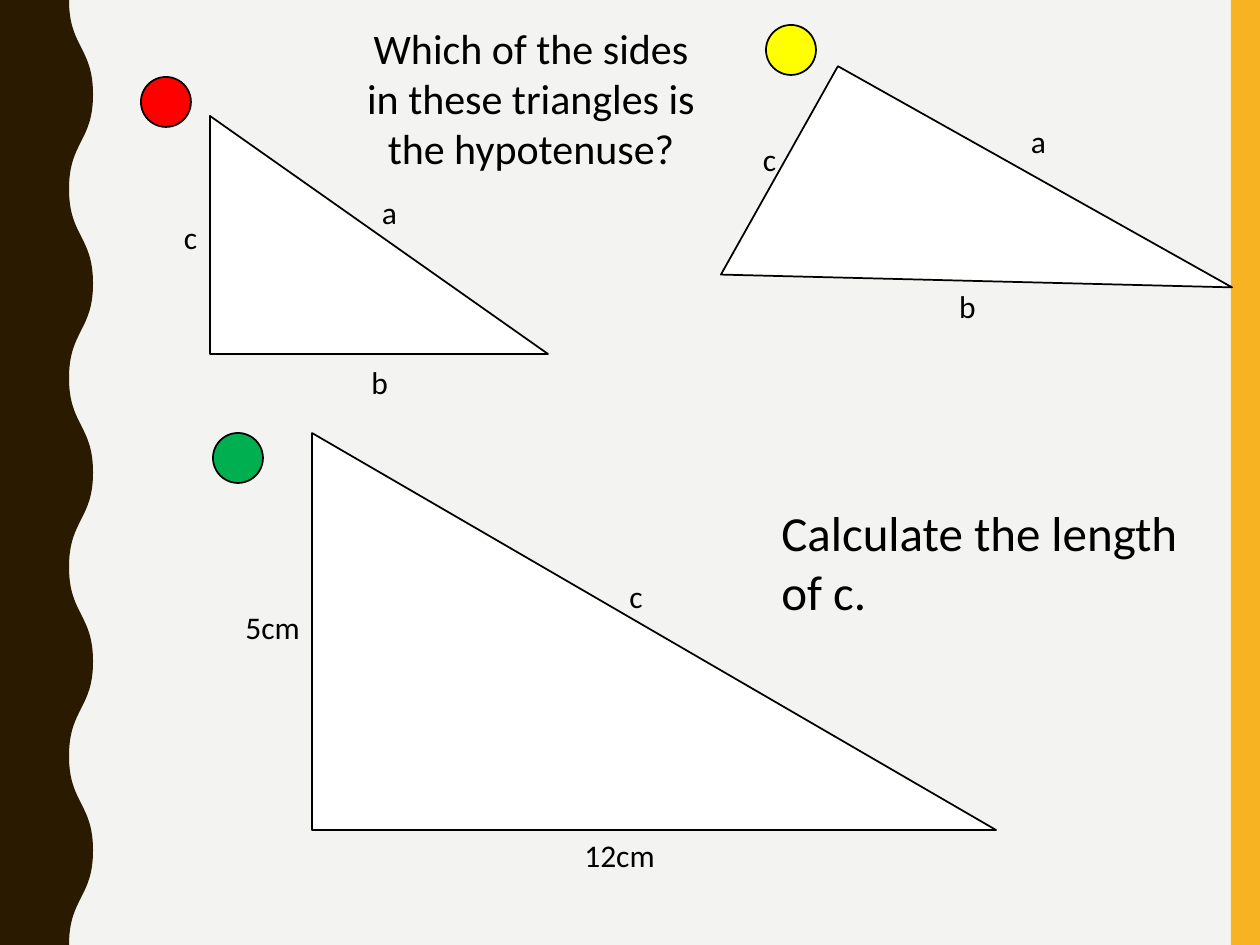
from pptx import Presentation
from pptx.dml.color import RGBColor
from pptx.enum.shapes import MSO_SHAPE as Shape
from pptx.enum.text import MSO_AUTO_SIZE as Fit, PP_ALIGN as Align
from pptx.oxml.ns import qn
from pptx.util import Pt
from lxml.etree import SubElement

SCALE = 914400 / 126
WIDTH, HEIGHT = 1260, 945
FONT = "Calibri"
BLACK = RGBColor(0, 0, 0)
WHITE = RGBColor(255, 255, 255)
PAPER = RGBColor(0xF3, 0xF3, 0xF2)
BROWN = RGBColor(0x2A, 0x1A, 0x00)
GOLD = RGBColor(0xF8, 0xB3, 0x23)
RED = RGBColor(255, 0, 0)
YELLOW = RGBColor(255, 255, 0)
GREEN = RGBColor(0x00, 0xB0, 0x50)


def px(size):
    return round(size * SCALE)


def paint(shape, fill, line=None):
    shape.shadow.inherit = False
    shape.fill.solid()
    shape.fill.fore_color.rgb = fill
    if line is None:
        shape.line.fill.background()
    else:
        shape.line.color.rgb = line
        shape.line.width = Pt(1)


def add_shape(slide, kind, box, fill, line=None, turn=0):
    shape = slide.shapes.add_shape(kind, *map(px, box))
    shape.rotation = turn
    paint(shape, fill, line)


def bend_line(line, start, end):
    """Turn a straight segment into an S-curve that is upright at both ends."""
    mid = (start[1] + end[1]) // 2
    line.tag = qn("a:cubicBezTo")
    for point in list(line):
        line.remove(point)
    for x, y in ((start[0], mid), (end[0], mid), end):
        SubElement(line, qn("a:pt"), x=str(x), y=str(y))


def add_wave(slide, low=69, high=93, bends=10):
    """Draw the left band, whose right edge swings between low and high."""
    edge = [(px(high if i % 2 else low), px(HEIGHT * i / bends))
            for i in range(bends + 1)]
    outline = slide.shapes.build_freeform(*edge[0])
    outline.add_line_segments([*edge[1:], (0, px(HEIGHT)), (0, 0)])
    wave = outline.convert_to_shape()
    lines = list(wave.element.iter(qn("a:lnTo")))
    for line, start, end in zip(lines, edge, edge[1:]):
        bend_line(line, start, end)
    paint(wave, BROWN)


def add_text(slide, text, box, size=18, align=Align.LEFT):
    frame = slide.shapes.add_textbox(*map(px, box)).text_frame
    frame.word_wrap = True
    frame.auto_size = Fit.SHAPE_TO_FIT_TEXT
    para = frame.paragraphs[0]
    para.text = text
    para.alignment = align
    para.font.name = FONT
    para.font.size = Pt(size)
    para.font.color.rgb = BLACK


def main():
    deck = Presentation()
    deck.slide_width, deck.slide_height = px(WIDTH), px(HEIGHT)
    slide = deck.slides.add_slide(deck.slide_layouts[6])
    slide.background.fill.solid()
    slide.background.fill.fore_color.rgb = PAPER

    add_shape(slide, Shape.RECTANGLE, (1231, 0, 29, HEIGHT), GOLD)
    add_wave(slide)

    for box, turn in (
        ((210, 116, 338, 238), 0),
        ((857, 55, 239, 452), 119.3),
        ((312, 433, 684, 397), 0),
    ):
        add_shape(slide, Shape.RIGHT_TRIANGLE, box, WHITE, BLACK, turn)

    for side, left, top in (
        ("b", 320, 357), ("c", 131, 212), ("a", 330, 187),
        ("b", 908, 281), ("c", 710, 134), ("a", 979, 116),
    ):
        add_text(slide, side, (left, top, 119, 50), align=Align.CENTER)

    for side, left, top in (
        ("5cm", 233, 602), ("12cm", 572, 830), ("c", 617, 571),
    ):
        add_text(slide, side, (left, top, 149, 50))

    add_text(slide, "Which of the sides in these triangles is the hypotenuse?",
             (352, 16, 358, 165), size=24, align=Align.CENTER)
    add_text(slide, "Calculate the length of c.", (769, 496, 427, 131), size=28)

    for left, top, fill in (
        (141, 77, RED), (766, 25, YELLOW), (213, 433, GREEN),
    ):
        add_shape(slide, Shape.OVAL, (left, top, 50, 50), fill, BLACK)

    deck.save("out.pptx")


if __name__ == "__main__":
    main()
